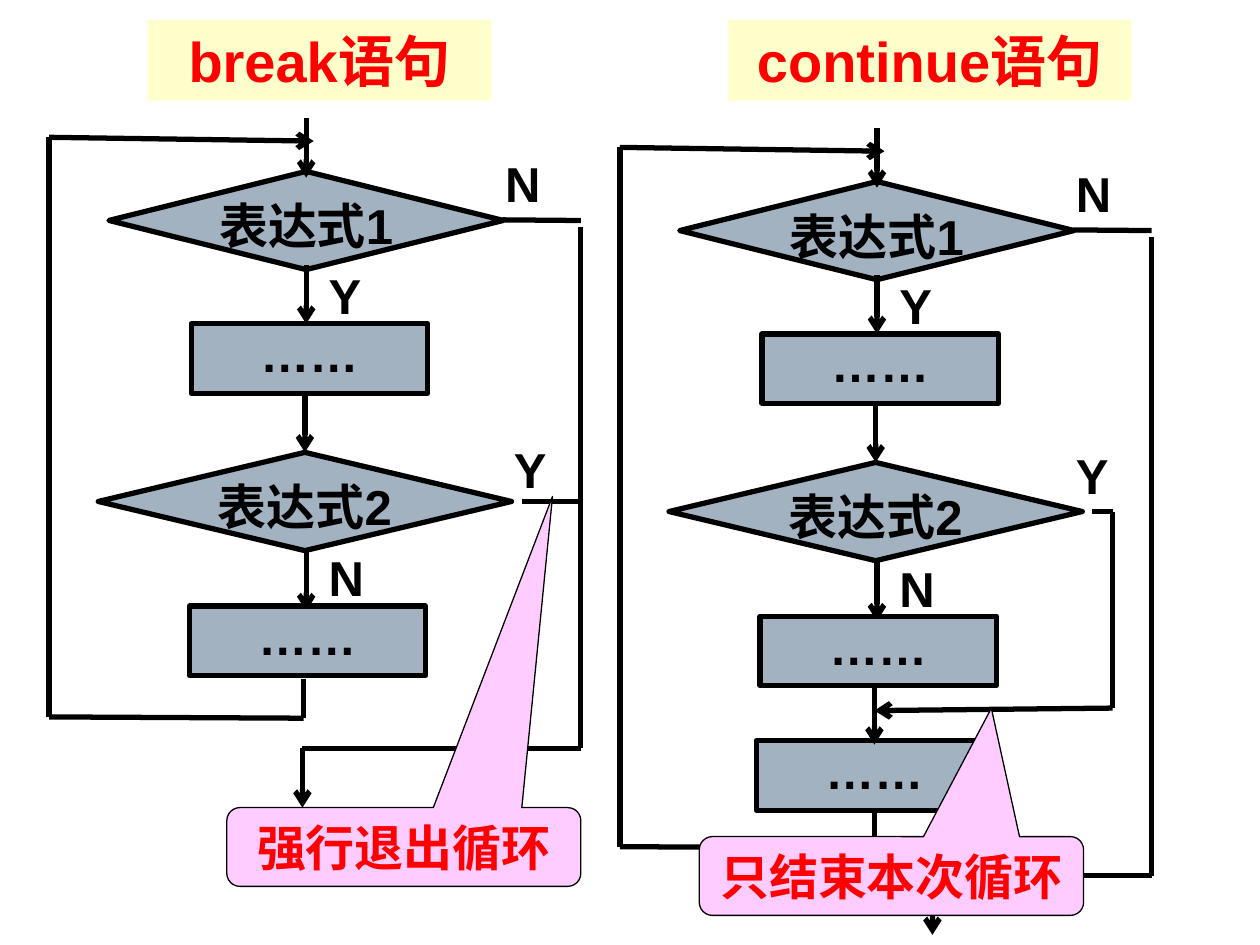
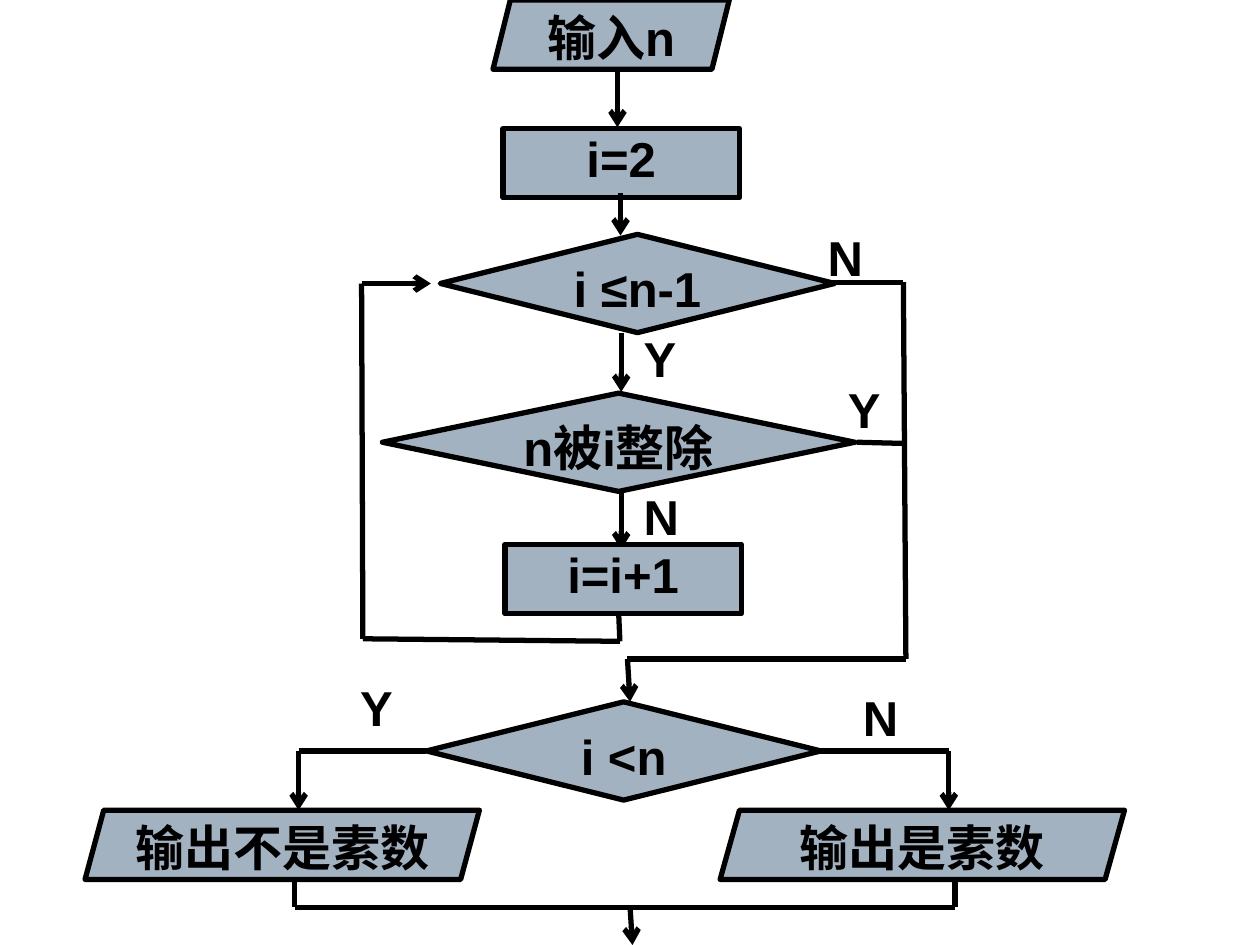
from dataclasses import dataclass
from itertools import pairwise
from pptx import Presentation
from pptx.dml.color import RGBColor as Rgb
from pptx.enum.shapes import MSO_CONNECTOR as Link, MSO_SHAPE as Kind
from pptx.enum.text import MSO_ANCHOR as Anchor, PP_ALIGN as Align
from pptx.oxml.ns import qn
from pptx.util import Inches, Pt
from lxml.etree import SubElement as Sub


@dataclass(frozen=True)
class Theme:
    font: str = "Arial"
    ink: str = "000000"
    node: str = "A3B2C1"
    band: str = "FFFFCC"
    note: str = "FFCCFF"
    loud: str = "FF0000"
    body: float = 28
    head: float = 32
    thick: float = 3
    thin: float = 0.75


class Deck:
    """Places elements on a grid of 100 columns by 75 rows."""

    def __init__(self, theme):
        self.theme = theme
        self.prs = Presentation()
        self.prs.slide_width, self.prs.slide_height = Inches(10), Inches(7.5)
        self.cell = self.prs.slide_width / 100

    def page(self):
        self.slide = self.prs.slides.add_slide(self.prs.slide_layouts[6])
        self.shift(0, 0)

    def shift(self, dx, dy):
        self.dx, self.dy = dx, dy

    def size(self, *cells):
        return [round(c * self.cell) for c in cells]

    def spot(self, x, y):
        return self.size(x + self.dx, y + self.dy)

    def letter(self, shape, text, color, size, align, pad=True, wrap=True):
        frame = shape.text_frame
        frame.text = text
        frame.word_wrap = wrap
        frame.vertical_anchor = Anchor.TOP
        frame.margin_left = frame.margin_right = Inches(0.1 if pad else 0)
        frame.margin_top = frame.margin_bottom = Inches(0.05 if pad else 0)
        para = frame.paragraphs[0]
        para.alignment = align
        font = para.runs[0].font
        font.name, font.size, font.bold = self.theme.font, Pt(size), True
        font.color.rgb = Rgb.from_string(color)

    def shape(self, kind, x, y, w, h, fill, line=0):
        item = self.slide.shapes.add_shape(kind, *self.spot(x, y), *self.size(w, h))
        item.shadow.inherit = False
        item.fill.solid()
        item.fill.fore_color.rgb = Rgb.from_string(fill)
        if line:
            item.line.width = Pt(line)
            item.line.color.rgb = Rgb.from_string(self.theme.ink)
        else:
            item.line.fill.background()
        return item

    def node(self, kind, mid, top, w, h, text, slant=None):
        t = self.theme
        item = self.shape(kind, mid - w / 2, top, w, h, t.node, t.thick)
        if slant:
            item.adjustments[0] = slant
        self.letter(item, text, t.ink, t.body, Align.CENTER, pad=False, wrap=False)

    def step(self, mid, top, text="……"):
        self.node(Kind.FLOWCHART_PROCESS, mid, top, 18.75, 5.5, text)

    def test(self, mid, top, text, w=31.3):
        self.node(Kind.FLOWCHART_DECISION, mid, top, w, 7.8, text)

    def data(self, mid, top, text, w, slant):
        self.node(Kind.PARALLELOGRAM, mid, top, w, 5.5, text, slant)

    def label(self, x, y, text):
        box = self.slide.shapes.add_textbox(*self.spot(x, y), *self.size(5.5, 5.7))
        self.letter(box, text, self.theme.ink, self.theme.body, Align.LEFT)

    def title(self, x, y, w, text):
        t = self.theme
        item = self.shape(Kind.RECTANGLE, x, y, w, 6.4, t.band)
        self.letter(item, text, t.loud, t.head, Align.CENTER)

    def note(self, x, y, w, text, tip):
        t = self.theme
        item = self.shape(Kind.ROUNDED_RECTANGULAR_CALLOUT, x, y, w, 6.25,
                          t.note, t.thin)
        item.adjustments[0], item.adjustments[1] = tip
        self.letter(item, text, t.loud, t.body, Align.CENTER, wrap=False)

    def route(self, *points, arrow=True):
        """Joins the points with lines; the last one may end in an arrow."""
        for start, end in pairwise(points):
            line = self.slide.shapes.add_connector(
                Link.STRAIGHT, *self.spot(*start), *self.spot(*end))
            line.line.width = Pt(self.theme.thick)
            line.line.color.rgb = Rgb.from_string(self.theme.ink)
            props = line.element.spPr
            Sub(props, qn("a:effectLst"))
        if arrow:
            Sub(props.find(qn("a:ln")), qn("a:tailEnd"), type="arrow")

    def down(self, x, y, drop=4.7):
        self.route((x, y), (x, y + drop))


def loop(deck, back, low, out, yes):
    """Flowchart of a loop: back and low shape the return, out the exit."""
    for x, y, text in [(39.1, 11.7, "N"), (25.1, 20.6, "Y"),
                       (25.1, 43, "N"), (*yes, "Y")]:
        deck.label(x, y, text)
    deck.test(24.3, 13.6, "表达式1")
    deck.test(24.2, 35.9, "表达式2", 32.8)
    # Entry and steps
    for y in (9.4, 21, 43.8):
        deck.down(24.3, y)
    deck.step(24.55, 25.7)
    deck.step(24.4, 48.1)
    deck.down(24.2, 31.2)
    # Return and exit
    deck.route((24.1, back), (24.1, low), (3.9, low - 0.1), (3.9, 10.9), (24.9, 11.2))
    deck.route((39.9, 17.45), (46.1, 17.5), arrow=False)
    x, y = out
    deck.route((46.1, 18), (46.1, y), (x, y), (x, y + 4.7))


def jumps(deck):
    deck.page()
    # Break, on the left
    deck.title(11.7, 1.6, 27.3, "break语句")
    loop(deck, 53.9, 57, (24, 59.4), (39.8, 34.4))
    deck.route((41.4, 39.8), (46.1, 39.8), arrow=False)
    deck.note(18, 64.1, 28.1, "强行退出循环", (0.42, -4.45))
    # Continue, on the right
    deck.shift(45.3, 0.8)
    deck.title(12.5, 0.8, 32, "continue语句")
    deck.step(24.1, 58)
    loop(deck, 63.4, 66.5, (28.7, 68.7), (39.1, 34.1))
    deck.down(24.1, 53.6)
    deck.route((41.4, 39.8), (43, 39.8), (43, 55.4), (24.1, 55.6))
    deck.note(10.2, 65.6, 30.5, "只结束本次循环", (0.26, -2.13))


def prime(deck):
    deck.page()
    for x, y, text in [(64.7, 17.6, "N"), (50.1, 25.6, "Y"), (66.3, 29.6, "Y"),
                       (50.1, 38.1, "N"), (27.6, 53.3, "Y"), (67.5, 54.1, "N")]:
        deck.label(x, y, text)
    # Input and tests
    deck.data(48.5, 0, "输入n", 18.75, 0.25)
    deck.step(49.3, 10.2, "i=2")
    deck.test(50.6, 18.6, "i ≤n-1")
    deck.test(49.1, 31.2, "n被i整除", 37.5)
    deck.test(49.5, 55.7, "i <n")
    deck.down(49, 5.4)
    deck.down(49.25, 15.3, 3.4)
    for y in (26.4, 38.9):
        deck.down(49.3, y)
    deck.step(49.45, 43.2, "i=i+1")
    # Return and exit
    deck.route((49.1, 48.6), (49.2, 50.9), (28.8, 50.7), (28.7, 22.5), (34.2, 22.5))
    deck.route((65.5, 22.4), (71.7, 22.4), (71.9, 52.3), (49.8, 52.3), (50, 55.7))
    deck.route((68, 35.1), (71.9, 35.2), arrow=False)
    # Results
    deck.data(22.4, 64.3, "输出不是素数", 31.3, 0.27)
    deck.data(73.2, 64.3, "输出是素数", 32.1, 0.28)
    deck.route((33.8, 59.6), (23.7, 59.6), (23.7, 64.3))
    deck.route((65.1, 59.6), (75.3, 59.6), (75.3, 64.3))
    deck.route((23.4, 69.7), (23.4, 72), (75.8, 72), (75.8, 69.7), arrow=False)
    deck.route((50, 71.9), (50.2, 75))


def main():
    deck = Deck(Theme())
    jumps(deck)
    prime(deck)
    deck.prs.save("out.pptx")


if __name__ == "__main__":
    main()
